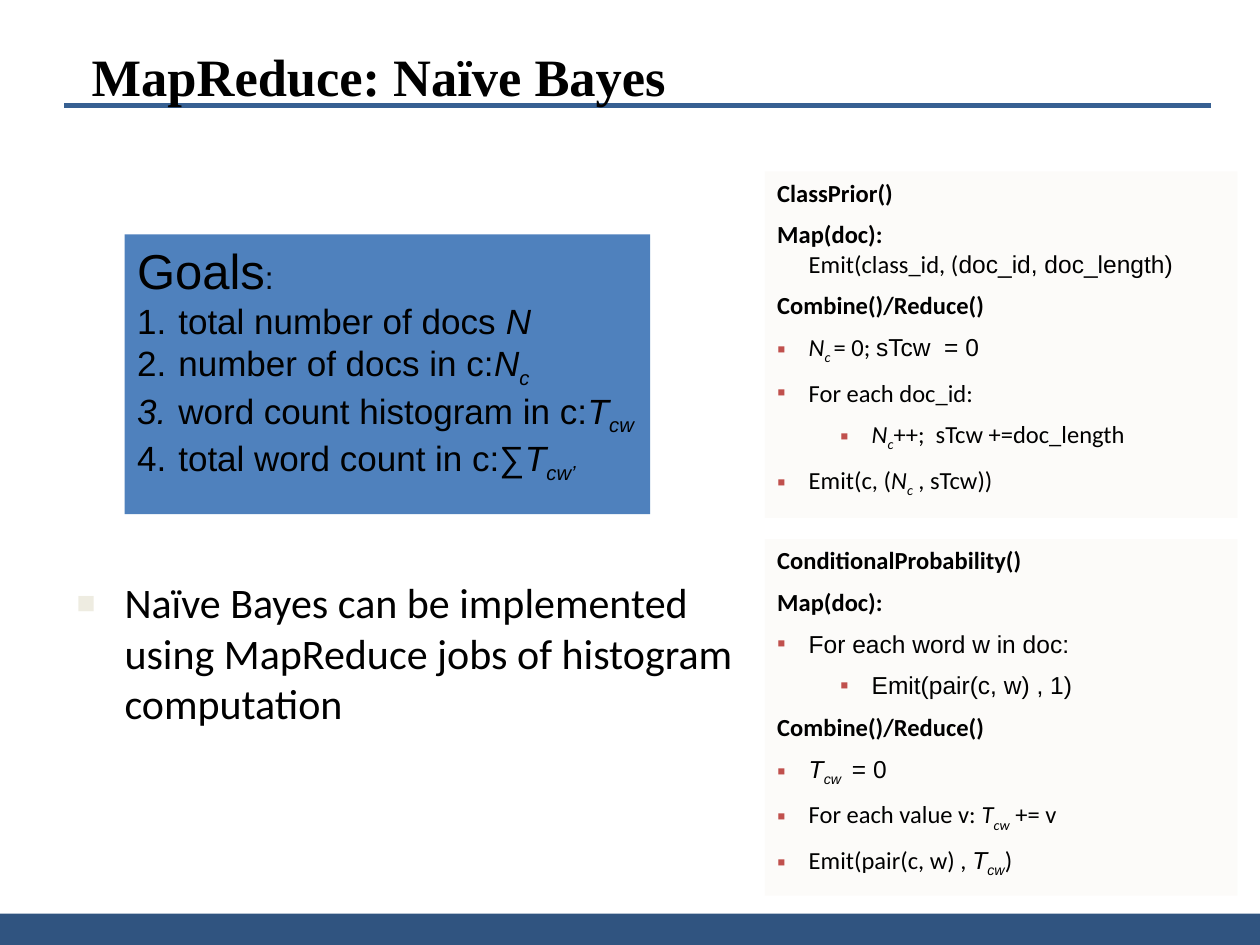
from lxml.etree import SubElement
from pptx import Presentation
from pptx.dml.color import RGBColor
from pptx.enum.shapes import MSO_CONNECTOR as Connector, MSO_SHAPE as Shape
from pptx.enum.text import MSO_ANCHOR as Anchor, PP_ALIGN as Align
from pptx.oxml.ns import qn
from pptx.util import Inches, Pt

BLACK = RGBColor(0x00, 0x00, 0x00)
FOOTER_BLUE = RGBColor(0x30, 0x54, 0x80)
RULE_BLUE = RGBColor(0x37, 0x60, 0x92)
GOALS_BLUE = RGBColor(0x4F, 0x81, 0xBD)
PANEL_GREY = RGBColor(0xFC, 0xFB, 0xF9)
BULLET_RED = RGBColor(0xC0, 0x50, 0x4D)
BULLET_BEIGE = RGBColor(0xEE, 0xEC, 0xE1)

# Paragraph kinds in the code panels
HEAD, ITEM, SUBITEM = range(3)

# Span flags: i italic, s subscript, b bold, r regular, a Arial, c Calibri
CLASS_PRIOR = [
    (HEAD, [("ClassPrior()", "")]),
    (HEAD, [("Map(doc):", ""), ("\n", ""), ("Emit(class_id, (", "r"),
            ("doc_id, doc_length)", "ra")]),
    (HEAD, [("Combine()/Reduce()", "")]),
    (ITEM, [("N", "i"), ("c ", "is"), ("= 0; ", ""), ("sTcw  = 0", "a")]),
    (ITEM, [("For each doc_id:", "")]),
    (SUBITEM, [("N", "i"), ("c", "is"), ("++;  sTcw +=doc_length", "")]),
    (ITEM, [("Emit(c, (", ""), ("N", "i"), ("c", "is"), (" , sTcw))", "")]),
]
CONDITIONAL_PROBABILITY = [
    (HEAD, [("ConditionalProbability()", "")]),
    (HEAD, [("Map(doc):", "")]),
    (ITEM, [("For each word w in doc:", "a")]),
    (SUBITEM, [("Emit(pair(c, w) , 1)", "a")]),
    (HEAD, [("Combine()/Reduce()", "")]),
    (ITEM, [("T", "ia"), ("cw ", "isa"), (" = 0", "a")]),
    (ITEM, [("For each value v: ", ""), ("T", "i"), ("cw", "is"),
            (" += v", "")]),
    (ITEM, [("Emit(pair(c, w) , ", ""), ("T", "ia"), ("cw", "isa"),
            (")", "")]),
]
GOALS = [
    [(" total number of docs ", ""), ("N", "i")],
    [(" number of docs in c:", ""), ("N", "i"), ("c", "is")],
    [(" ", "i"), ("word count histogram in c:", ""), ("T", "i"), ("cw", "is")],
    [(" total word count in c:∑", ""), ("T", "i"), ("cw’", "is")],
]


def add_rect(page, left, top, width, height, color):
    box = page.shapes.add_shape(Shape.RECTANGLE, Inches(left), Inches(top),
                                Inches(width), Inches(height))
    box.shadow.inherit = False
    box.fill.solid()
    box.fill.fore_color.rgb = color
    box.line.fill.background()
    frame = box.text_frame
    frame.word_wrap = True
    frame.vertical_anchor = Anchor.TOP
    return frame


def add_text_box(page, left, top, width, height):
    box = page.shapes.add_textbox(Inches(left), Inches(top),
                                  Inches(width), Inches(height))
    box.text_frame.word_wrap = True
    return box.text_frame


def add_rule(page, left, right, top):
    rule = page.shapes.add_connector(Connector.STRAIGHT, Inches(left),
                                     Inches(top), Inches(right), Inches(top))
    rule.line.color.rgb = RULE_BLUE
    rule.line.width = Pt(3)
    SubElement(rule._element.spPr, qn("a:effectLst"))


def set_indent(para, left, hanging):
    props = para._p.get_or_add_pPr()
    props.set("marL", str(Inches(left)))
    props.set("indent", str(-Inches(hanging)))
    return props


def set_bullet(props, char, color, percent=100):
    SubElement(SubElement(props, qn("a:buClr")), qn("a:srgbClr"),
               val=str(color))
    SubElement(props, qn("a:buSzPct"), val=str(percent * 1000))
    SubElement(props, qn("a:buFont"), typeface="Arial")
    SubElement(props, qn("a:buChar"), char=char)


def next_para(frame):
    """Return the empty first paragraph, or a new one."""
    first = frame.paragraphs[0]
    return frame.add_paragraph() if first.runs else first


def write(para, spans, font, size, bold=False):
    para.alignment = Align.LEFT
    para.font.name = font
    para.font.size = Pt(size)
    para.font.bold = bold
    para.font.color.rgb = BLACK
    for text, flags in spans:
        if text == "\n":
            para.add_line_break()
            continue
        span = para.add_run()
        span.text = text
        if "i" in flags:
            span.font.italic = True
        if "r" in flags:
            span.font.bold = False
        if "a" in flags:
            span.font.name = "Arial"
        if "s" in flags:
            span._r.get_or_add_rPr().set("baseline", "-25000")


def add_code_panel(page, top, height, lines):
    frame = add_rect(page, 6.07, top, 3.75, height, PANEL_GREY)
    for number, (kind, spans) in enumerate(lines):
        para = next_para(frame)
        props = set_indent(para, 0.75 if kind == SUBITEM else 0.25, 0.25)
        if kind != HEAD:
            set_bullet(props, "▪", BULLET_RED)
        if kind == SUBITEM:
            para.level = 1
        if number:
            para.space_before = Pt(4.9)
        para.space_after = Pt(2.1)
        write(para, spans, "Calibri", 14, bold=kind == HEAD)


def add_goals(page):
    frame = add_rect(page, 0.99, 1.86, 4.17, 2.22, GOALS_BLUE)
    heading = next_para(frame)
    write(heading, [("Goals", ""), (":", "")], "Arial", 28)
    heading.runs[1].font.size = Pt(18)
    for spans in GOALS:
        para = next_para(frame)
        props = set_indent(para, 0.25, 0.25)
        SubElement(props, qn("a:buFont"), typeface="Arial")
        SubElement(props, qn("a:buAutoNum"), type="arabicPeriod")
        write(para, spans, "Arial", 20)


def main():
    deck = Presentation()
    deck.slide_width, deck.slide_height = Inches(10), Inches(7.5)
    page = deck.slides.add_slide(deck.slide_layouts[6])

    # Footer band, title and rule
    add_rect(page, 0, 7.25, 10, 0.25, FOOTER_BLUE)
    add_rule(page, 0.51, 9.61, 0.84)
    title = add_text_box(page, 0.63, 0.24, 8.74, 0.56)
    title.margin_top = Inches(0.11)
    write(next_para(title), [("MapReduce: Naïve Bayes", "")],
          "Times New Roman", 30, bold=True)

    # Pseudocode on the right
    add_code_panel(page, 1.36, 2.75, CLASS_PRIOR)
    add_code_panel(page, 4.28, 2.83, CONDITIONAL_PROBABILITY)

    # Goals and the main point on the left
    add_goals(page)
    point = next_para(add_text_box(page, 0.51, 4.53, 5.48, 2.33))
    set_bullet(set_indent(point, 0.38, 0.38), "■", BULLET_BEIGE, 75)
    write(point, [("Naïve Bayes can be implemented using MapReduce jobs of "
                   "histogram computation", "")], "Calibri", 24)

    deck.save("out.pptx")


if __name__ == "__main__":
    main()
